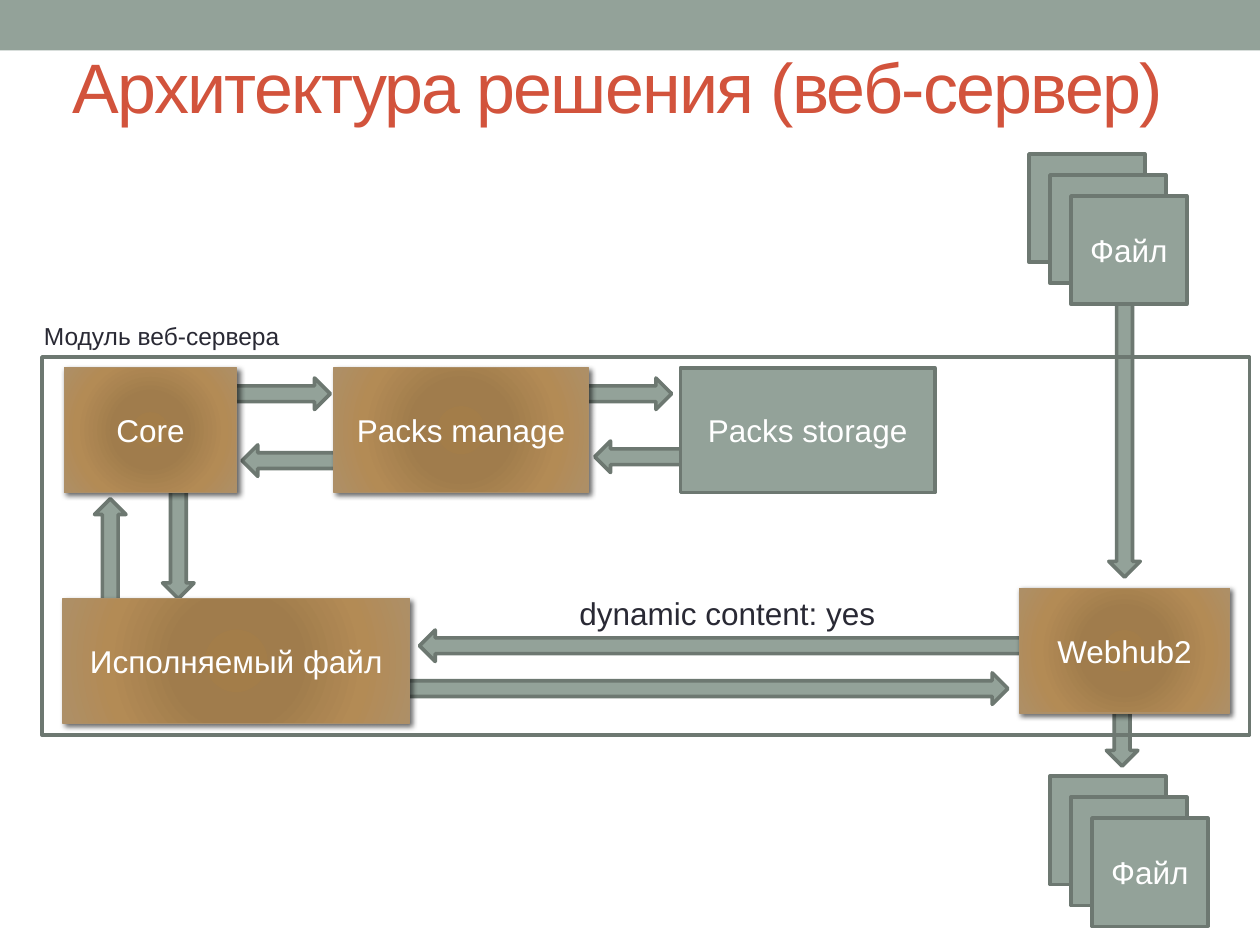
from lxml.etree import SubElement
from pptx import Presentation
from pptx.dml.color import RGBColor
from pptx.enum.shapes import MSO_SHAPE
from pptx.enum.text import MSO_ANCHOR, PP_ALIGN
from pptx.oxml import parse_xml
from pptx.oxml.ns import nsdecls, qn
from pptx.util import Pt

SAGE, SAGE_DARK = "93A299", "6D7871"
BROWN_EDGE = "AD8F67"
BROWN_STOPS = [(0, "A37D49"), (34, "A07C4C"), (70, "B38B55"), (100, BROWN_EDGE)]
WHITE, INK, RED = "FFFFFF", "292934", "D2533C"

BAND = (0, 0, 720, 28.8)
MODULE_FRAME = (24, 204, 690, 216)
ARROW_WIDTH = 18
BOX_HEIGHT = 71.3
CARD_SIZE = (66.2, 61.9)
CARD_STEP = 12
CARD_COUNT = 3

# center x, center y, length, rotation
ARROWS = [
    (142.2, 225, 93, 0),
    (175.3, 263.2, 74, 180),
    (337.3, 225, 93, 0),
    (376.9, 261, 74, 180),
    (63, 331.5, 93, 270),
    (101.9, 295.6, 93, 90),
    (413.6, 369, 347.8, 180),
    (402.1, 393.5, 347.8, 0),
    (642.6, 245.9, 167.8, 90),
    (641.2, 391.3, 93, 90),
]
BROWN_BOXES = [
    ("Core", 36.7, 210.2, 98.6),
    ("Packs manage", 190.8, 210.2, 145.4),
    ("Исполняемый файл", 36, 342, 198),
    ("Webhub2", 582.5, 336.2, 120.2),
]
STORAGE_BOX = ("Packs storage", 388.8, 210.2, 145.4)
CARD_STACKS = [("Файл", 588, 88), ("Файл", 600, 443.5)]
LABELS = [
    ("Модуль веб-сервера", (18, 180, 234.7, 24.5), 14),
    ("dynamic content: yes", (324, 336.2, 200.9, 28.8), 18),
]
TITLE = ("Архитектура решения (веб-сервер)", (34.6, 10, 648, 77.8), 40)


def color(value):
    return RGBColor.from_string(value)


def write(shape, text, size, text_color, align=PP_ALIGN.LEFT, anchor=MSO_ANCHOR.TOP):
    frame = shape.text_frame
    frame.word_wrap = True
    frame.vertical_anchor = anchor
    frame.text = text
    para = frame.paragraphs[0]
    para.alignment = align
    span = para.runs[0]
    span.font.size = Pt(size)
    span.font.name = "Arial"
    span.font.color.rgb = color(text_color)
    return span


def add_block(page, place, kind=MSO_SHAPE.RECTANGLE, fill=SAGE, line=SAGE_DARK, text=""):
    block = page.shapes.add_shape(kind, *[Pt(value) for value in place])
    block.shadow.inherit = False
    if fill:
        block.fill.solid()
        block.fill.fore_color.rgb = color(fill)
    else:
        block.fill.background()
    if line:
        block.line.color.rgb = color(line)
        block.line.width = Pt(2.08)
    else:
        block.line.fill.background()
    if text:
        write(block, text, 18, WHITE, PP_ALIGN.CENTER, MSO_ANCHOR.MIDDLE)
    return block


def add_label(page, text, place, size, text_color, anchor=MSO_ANCHOR.TOP):
    box = page.shapes.add_textbox(*[Pt(value) for value in place])
    return write(box, text, size, text_color, anchor=anchor)


def add_arrow(page, center_x, center_y, length, rotation):
    place = (center_x - length / 2, center_y - ARROW_WIDTH / 2, length, ARROW_WIDTH)
    add_block(page, place, MSO_SHAPE.RIGHT_ARROW).rotation = rotation


def add_brown_box(page, text, left, top, width):
    box = add_block(page, (left, top, width, BOX_HEIGHT), line=BROWN_EDGE, text=text)
    box.line.width = Pt(0.75)
    properties = box.element.spPr
    stops = "".join(
        f'<a:gs pos="{position * 1000}"><a:srgbClr val="{value}"/></a:gs>'
        for position, value in BROWN_STOPS
    )
    gradient = parse_xml(
        f'<a:gradFill {nsdecls("a")} rotWithShape="1"><a:gsLst>{stops}</a:gsLst>'
        '<a:path path="circle"><a:fillToRect l="50000" t="50000" r="50000" b="50000"/>'
        "</a:path></a:gradFill>"
    )
    properties.replace(properties.find(qn("a:solidFill")), gradient)
    shadow = SubElement(
        properties.find(qn("a:effectLst")), qn("a:outerShdw"),
        blurRad=str(Pt(3)), dist=str(Pt(2)), dir=str(45 * 60000), rotWithShape="0",
    )
    shade = SubElement(shadow, qn("a:srgbClr"), val="000000")
    SubElement(shade, qn("a:alpha"), val="60000")


def add_card_stack(page, text, left, top):
    for index in range(CARD_COUNT):
        shift = index * CARD_STEP
        front = index == CARD_COUNT - 1
        add_block(page, (left + shift, top + shift, *CARD_SIZE), text=text if front else "")


def main():
    deck = Presentation()
    deck.slide_width, deck.slide_height = Pt(720), Pt(540)
    page = deck.slides.add_slide(deck.slide_layouts[6])

    add_block(page, BAND, line=None)
    title, place, size = TITLE
    span = add_label(page, title, place, size, RED, MSO_ANCHOR.MIDDLE)
    span.font._element.set("spc", "-100")

    for arrow in ARROWS:
        add_arrow(page, *arrow)
    add_block(page, MODULE_FRAME, fill=None)
    for box in BROWN_BOXES:
        add_brown_box(page, *box)
    name, left, top, width = STORAGE_BOX
    add_block(page, (left, top, width, BOX_HEIGHT), text=name)
    for stack in CARD_STACKS:
        add_card_stack(page, *stack)
    for text, place, size in LABELS:
        add_label(page, text, place, size, INK)

    deck.save("out.pptx")


if __name__ == "__main__":
    main()
